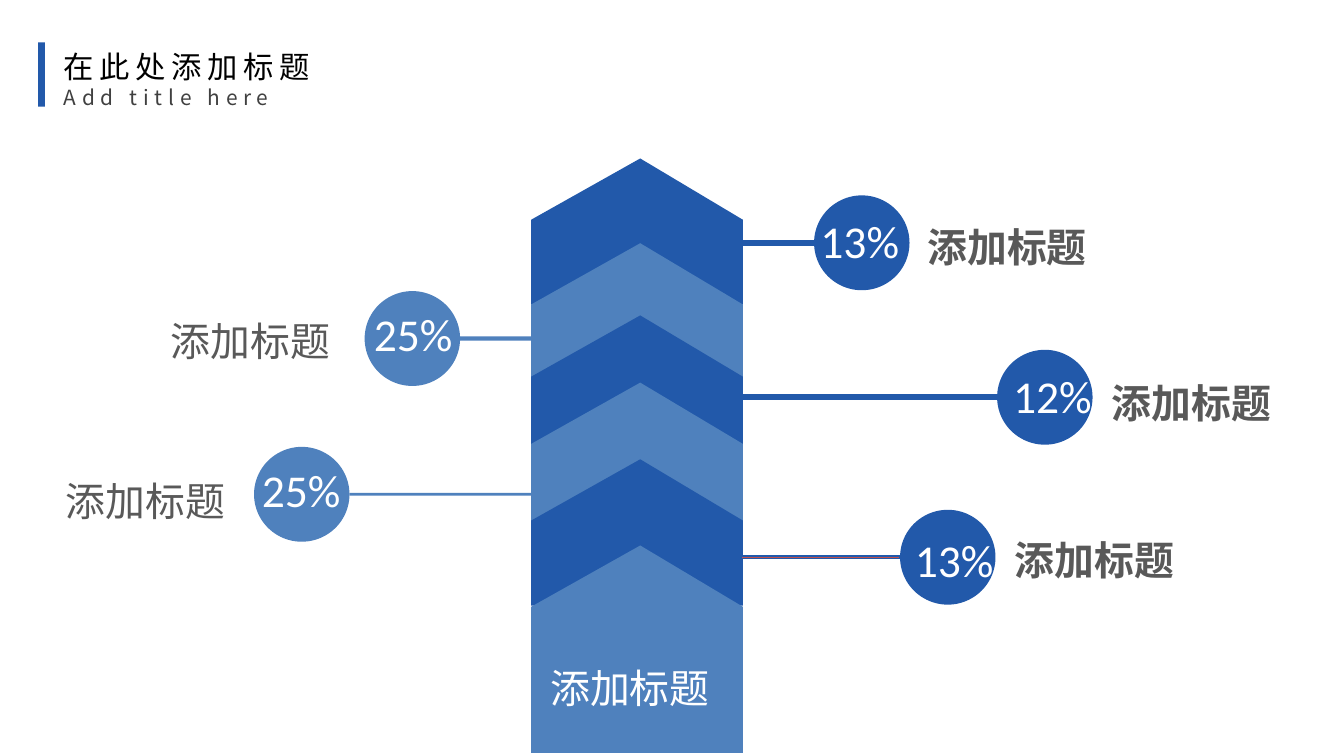
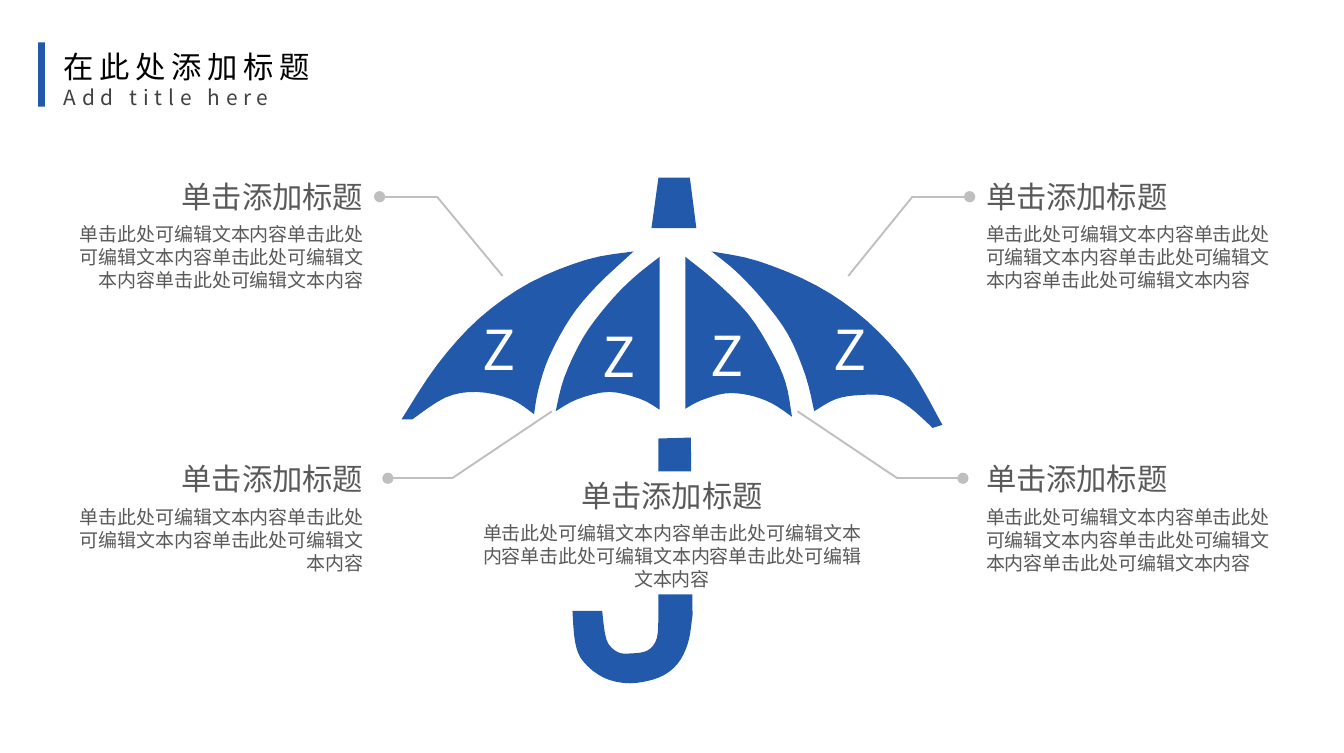
from dataclasses import dataclass

import lxml.etree
import pptx
import pptx.dml.color
import pptx.enum.shapes
import pptx.enum.text
import pptx.oxml.ns
import pptx.util

RGBColor = pptx.dml.color.RGBColor
BLUE = RGBColor(0x22, 0x59, 0xAA)
LIGHT_BLUE = RGBColor(0x4F, 0x81, 0xBD)
RED = RGBColor(0xC0, 0x50, 0x4D)
WHITE = RGBColor(0xFF, 0xFF, 0xFF)
BLACK = RGBColor(0, 0, 0)
DARK_GREY = RGBColor(0x40, 0x40, 0x40)
TEXT_GREY = RGBColor(0x59, 0x59, 0x59)
LINE_GREY = RGBColor(0xBF, 0xBF, 0xBF)

CJK_FONT = "Noto Sans CJK SC"
LABEL_FONT = "Calibri"
SHAPES = pptx.enum.shapes.MSO_SHAPE
ALIGN = pptx.enum.text.PP_ALIGN


@dataclass
class Box:
    """A box in inches; areas inside it are given in percent of its size."""
    left: float
    top: float
    width: float
    height: float

    def area(self, x, y, width, height):
        return Box(self.left + x * self.width / 100, self.top + y * self.height / 100,
                   width * self.width / 100, height * self.height / 100)

    def point(self, x, y):
        spot = self.area(x, y, 0, 0)
        return pptx.util.Inches(spot.left), pptx.util.Inches(spot.top)

    def frame(self):
        return [pptx.util.Inches(length)
                for length in (self.left, self.top, self.width, self.height)]


PAGE = Box(0, 0, 9.84, 5.51)


# Shared building blocks
def paint(shape, fill, line=None):
    shape.shadow.inherit = False
    shape.fill.solid()
    shape.fill.fore_color.rgb = fill
    if line is None:
        shape.line.fill.background()
    else:
        shape.line.color.rgb = line
        shape.line.width = pptx.util.Pt(0.75)
    return shape


def add_preset(slide, kind, box, fill, line=None):
    return paint(slide.shapes.add_shape(kind, *box.frame()), fill, line)


def add_outline(slide, box, points, fill):
    corners = [box.point(x, y) for x, y in points]
    builder = slide.shapes.build_freeform(*corners[0], scale=1.0)
    builder.add_line_segments(corners[1:], close=True)
    return paint(builder.convert_to_shape(), fill)


def write(shape, lines, align=ALIGN.LEFT, wrap=False, font=CJK_FONT,
          bold=False, before=0, spacing=0):
    """Fill a shape with paragraphs given as (text, size, color)."""
    frame = shape.text_frame
    frame.word_wrap = wrap
    frame.auto_size = pptx.enum.text.MSO_AUTO_SIZE.SHAPE_TO_FIT_TEXT
    frame.vertical_anchor = pptx.enum.text.MSO_ANCHOR.TOP
    frame.margin_left = frame.margin_right = pptx.util.Inches(0.07)
    frame.margin_top = frame.margin_bottom = pptx.util.Inches(0.04)
    for index, (text, size, color) in enumerate(lines):
        paragraph = frame.add_paragraph() if index else frame.paragraphs[0]
        paragraph.text = text
        paragraph.alignment = align
        paragraph.space_before = pptx.util.Pt(before)
        paragraph.font.size = pptx.util.Pt(size)
        paragraph.font.bold = bold
        paragraph.font.color.rgb = color
        paragraph.font.name = font
        # East Asian font and letter spacing
        properties = paragraph._p.get_or_add_pPr().get_or_add_defRPr()
        properties.set("spc", str(spacing * 100))
        lxml.etree.SubElement(properties, pptx.oxml.ns.qn("a:ea"), typeface=CJK_FONT)


def add_text(slide, box, lines, **style):
    write(slide.shapes.add_textbox(*box.frame()), lines, **style)


def add_line(slide, start, end, dot=False):
    line = slide.shapes.add_connector(
        pptx.enum.shapes.MSO_CONNECTOR.STRAIGHT, *PAGE.point(*start), *PAGE.point(*end))
    line.line.color.rgb = LINE_GREY
    line.line.width = pptx.util.Pt(1)
    properties = line._element.spPr
    if dot:
        lxml.etree.SubElement(properties.find(pptx.oxml.ns.qn("a:ln")),
                              pptx.oxml.ns.qn("a:tailEnd"), type="oval")
    lxml.etree.SubElement(properties, pptx.oxml.ns.qn("a:effectLst"))


def add_header(slide, box):
    add_preset(slide, SHAPES.RECTANGLE, box.area(0, 0, 2.3, 85.5), BLUE)
    add_text(slide, box.area(5.5, 0, 94.5, 100),
             [("在此处添加标题", 16, BLACK), ("Add title here", 11, DARK_GREY)], spacing=3)


# Slide 1: stacked arrow with callouts
STACK = PAGE.area(39.53, 21.05, 15.75, 78.95)
STACK_SIDES = (39.6, 55.2)
CHEVRON_TOPS = [0, 14.25, 26.4, 37.7, 50.6, 65.1]
CIRCLE = (7.1, 12.6)
# number text, circle, number and label corners, bar thickness, bar fill
RIGHT_CALLOUTS = [
    ("13%", (60.57, 25.95), (60.26, 27.59), (68.29, 28.86), 0.54, BLUE),
    ("12%", (74.19, 46.46), (74.59, 48.09), (82.01, 49.55), 0.54, BLUE),
    ("13%", (66.97, 67.7), (67.28, 69.87), (74.8, 70.42), 0.36, RED),
]
LEFT_CALLOUTS = [
    ("25%", (27.13, 38.66), (27.03, 39.93), (11.99, 41.38), 0.54, LIGHT_BLUE),
    ("25%", (18.9, 59.35), (18.7, 60.62), (4.17, 62.61), 0.36, LIGHT_BLUE),
]


def add_stack(slide, box):
    for index, top in enumerate(CHEVRON_TOPS):
        bottom = 100 if top == CHEVRON_TOPS[-1] else top + 24.6
        shoulder = top + 10.3
        add_outline(slide, box, [(100, bottom), (0, bottom), (0, shoulder),
                                 (51.5, top), (100, shoulder)],
                    LIGHT_BLUE if index % 2 else BLUE)
    add_text(slide, box.area(4.5, 84.1, 85.8, 9.9),
             [("添加标题", 21, WHITE)], font=LABEL_FONT)


def add_callout(slide, page, callout, right):
    number, circle, number_corner, label_corner, thickness, bar_fill = callout
    color = BLUE if right else LIGHT_BLUE
    start, end = ((STACK_SIDES[1], circle[0]) if right
                  else (circle[0] + CIRCLE[0], STACK_SIDES[0]))
    bar_top = circle[1] + (CIRCLE[1] - thickness) / 2
    add_preset(slide, SHAPES.OVAL, page.area(*circle, *CIRCLE), color)
    add_preset(slide, SHAPES.RECTANGLE, page.area(start, bar_top, end - start, thickness),
               bar_fill, BLUE if right else None)
    add_text(slide, page.area(*number_corner, 7.42, 8.71), [(number, 24, WHITE)],
             align=ALIGN.CENTER, font=LABEL_FONT)
    add_text(slide, page.area(*label_corner, 13.52, 7.8), [("添加标题", 21, TEXT_GREY)],
             font=LABEL_FONT, bold=right)


def build_arrow_slide(slide):
    add_stack(slide, STACK)
    for callout in RIGHT_CALLOUTS:
        add_callout(slide, PAGE, callout, True)
    for callout in LEFT_CALLOUTS:
        add_callout(slide, PAGE, callout, False)


# Slide 2: umbrella; each outline is a list of smooth edges
UMBRELLA = PAGE.area(29.88, 23.59, 40.24, 67.15)
OUTER_LEFT = [
    [(42.9, 14.6), (36.1, 21.4), (31.3, 27.6), (27.3, 35.4), (25.3, 41.9), (24.5, 46.8)],
    [(24.5, 46.8), (20.2, 43.8), (13.9, 42.4), (8.1, 43.5), (2, 47.8)],
    [(0, 47.8), (6.6, 37), (14.4, 27.8), (23.7, 20.8), (34.3, 16.2), (42.9, 14.6)],
]
INNER_LEFT = [
    [(47.7, 15.7), (47.7, 45.9)],
    [(47.7, 45.9), (44.2, 43.8), (38.4, 42.4), (32.6, 43.8), (28.5, 46.2)],
    [(28.5, 46.2), (30.1, 39.5), (33.6, 31.6), (38.1, 25.1), (42.7, 20), (47.7, 15.7)],
]
INNER_RIGHT = [
    [(52.5, 15.7), (57.8, 20.3), (64.1, 27), (68.4, 34.3), (71, 40.5), (72.2, 47.3)],
    [(72.2, 47.3), (68.4, 44.6), (64.1, 43), (59.8, 42.7), (55.3, 44.1), (52.5, 45.7)],
]
OUTER_RIGHT = [
    [(57.3, 14.6), (65.9, 16.5), (76.8, 21.4), (86.1, 28.4), (93.9, 37.6), (100, 48.9)],
    [(98.2, 49.5), (93.9, 45.4), (89.9, 43.2), (84.8, 43), (80.3, 43.8), (76.3, 46.2)],
    [(76.3, 46.2), (74.7, 39.2), (71.5, 31.1), (66.9, 24.3), (61.9, 18.6), (57.3, 14.6)],
]
HANDLE = [
    [(53.5, 51.4), (53.8, 86.5)],
    [(53.8, 86.5), (53, 91.9), (51, 96.2), (47.5, 98.9), (42.2, 100),
     (37.4, 98.9), (33.6, 95.7), (32.1, 91.9), (31.6, 85.7)],
    [(37.1, 85.7), (37.9, 91.4), (39.9, 93.8), (42.4, 94.1), (45.5, 93.5),
     (47.2, 91.1), (47.5, 86.5)],
    [(47.5, 86.5), (47.5, 51.6)],
]
FERRULE = [[(47.5, 0), (53.3, 0)], [(54.5, 10), (46.2, 10)]]
LETTER_CORNERS = [(12.9, 26.2), (35.1, 27.6), (55.1, 27.3), (77.8, 26.2)]
SENTENCE = "单击此处可编辑文本内容"
# text corner, alignment, sentence count, leader points from the dot inwards
NOTES = [
    ((4.47, 22.87), ALIGN.RIGHT, 4, [(28.25, 26.13), (32.52, 26.13), (37.4, 36.66)]),
    ((4.47, 60.44), ALIGN.RIGHT, 3, [(28.86, 63.52), (33.64, 63.52), (41.06, 54.63)]),
    ((72.66, 22.87), ALIGN.LEFT, 4, [(72.15, 26.13), (67.89, 26.13), (63.11, 36.66)]),
    ((72.66, 60.44), ALIGN.LEFT, 4, [(71.65, 63.52), (66.77, 63.52), (59.35, 54.63)]),
]


def smooth(edge, steps=4):
    """Points of a Catmull-Rom curve through the anchors of one edge."""
    anchors = [edge[0], *edge, edge[-1]]
    points = [edge[0]]
    for a, b, c, d in zip(anchors, anchors[1:], anchors[2:], anchors[3:]):
        for step in range(1, steps + 1):
            t = step / steps
            points.append(tuple(
                q + t / 2 * (r - p + t * (2 * p - 5 * q + 4 * r - s
                                          + t * (3 * (q - r) + s - p)))
                for p, q, r, s in zip(a, b, c, d)))
    return points


def add_umbrella(slide, box):
    for edges in (OUTER_LEFT, HANDLE, OUTER_RIGHT, FERRULE, INNER_RIGHT, INNER_LEFT):
        add_outline(slide, box, [point for edge in edges for point in smooth(edge)], BLUE)
    for corner in LETTER_CORNERS:
        add_text(slide, box.area(*corner, 10.35, 15.4), [("Z", 29, WHITE)],
                 align=ALIGN.CENTER)


def write_note(shape, count, align):
    write(shape, [("单击添加标题", 16, TEXT_GREY), (SENTENCE * count, 10, TEXT_GREY)],
          align=align, wrap=True, before=4.4)


def build_umbrella_slide(slide):
    add_umbrella(slide, UMBRELLA)
    # Centre note covers the shaft
    center = PAGE.area(35.06, 62.61, 29.88, 16.33)
    write_note(add_preset(slide, SHAPES.RECTANGLE, center, WHITE), 4, ALIGN.CENTER)
    for corner, align, count, (dot, elbow, target) in NOTES:
        add_line(slide, target, elbow)
        add_line(slide, elbow, dot, dot=True)
        box = PAGE.area(*corner, 23.27, 16.33)
        write_note(slide.shapes.add_textbox(*box.frame()), count, align)


def main():
    presentation = pptx.Presentation()
    presentation.slide_width = pptx.util.Inches(PAGE.width)
    presentation.slide_height = pptx.util.Inches(PAGE.height)
    for build in (build_arrow_slide, build_umbrella_slide):
        slide = presentation.slides.add_slide(presentation.slide_layouts[6])
        build(slide)
        add_header(slide, PAGE.area(2.85, 5.63, 21.65, 9.98))
    presentation.save("out.pptx")


if __name__ == "__main__":
    main()
